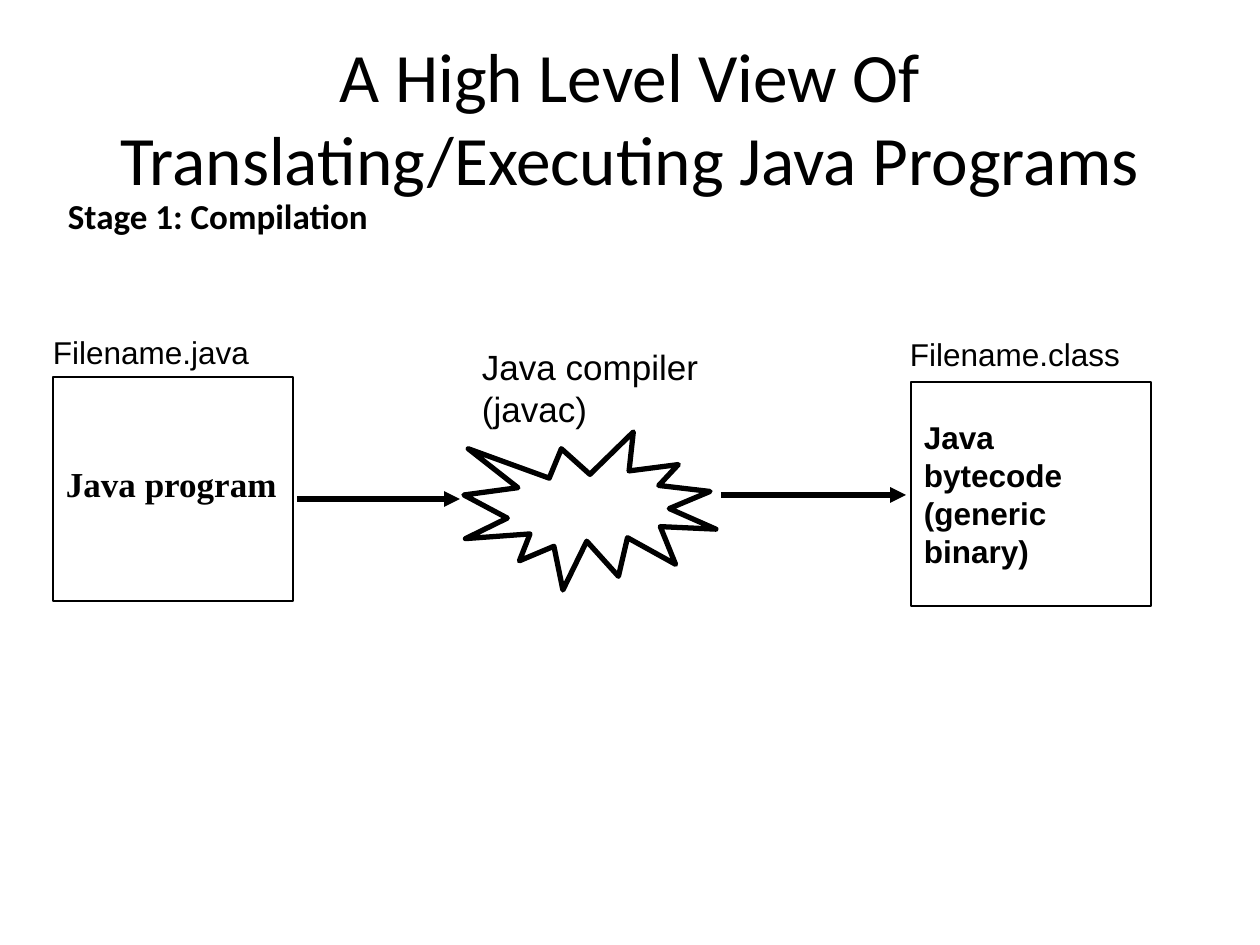
from lxml import etree
from pptx import Presentation
from pptx.dml.color import RGBColor
from pptx.enum.shapes import MSO_CONNECTOR, MSO_SHAPE
from pptx.enum.text import MSO_ANCHOR, PP_ALIGN
from pptx.oxml.ns import qn
from pptx.util import Emu, Pt

PX = 914400 // 126
BLACK = "000000"
STRAIGHT = MSO_CONNECTOR.STRAIGHT
RECTANGLE, BURST = MSO_SHAPE.RECTANGLE, MSO_SHAPE.EXPLOSION1
TOP, MIDDLE = MSO_ANCHOR.TOP, MSO_ANCHOR.MIDDLE
LEFT, CENTER = PP_ALIGN.LEFT, PP_ALIGN.CENTER

# Content: positions are (left, top, width, height) in px
TITLE = "A High Level View Of Translating/Executing Java Programs"
TITLE_AREA = (63, 38, 1134, 157)
LABELS = [
    ("Stage 1: Compilation", (55, 188, 378, 54),
     dict(size=20, font="Calibri", bold=True)),
    ("Java compiler (javac)", (469, 339, 278, 97), dict(size=20)),
    ("Filename.java", (53, 327, 271, 50), dict(inset=0)),
    ("Filename.class", (910, 329, 271, 50), dict(inset=0)),
]
FILE_BOXES = [
    ("Java program", (53, 377, 240, 224),
     dict(size=20, font="Times New Roman", bold=True, spacing=0.7)),
    ("Java bytecode (generic binary)", (911, 382, 240, 224), dict(bold=True)),
]
COMPILER_BURST = (464, 432, 252, 158)
ARROWS = [(297, 460, 499), (721, 906, 495)]  # from x, to x, y


def px(*lengths):
    return [Emu(length * PX) for length in lengths]


def color(hex_string):
    return RGBColor.from_string(hex_string)


def write(shape, text, size=18, font="Arial", bold=False, align=LEFT,
          anchor=TOP, inset=13, spacing=None):
    frame = shape.text_frame
    frame.word_wrap = True
    frame.vertical_anchor = anchor
    frame.margin_left, frame.margin_right = px(inset, 13)
    frame.margin_top, frame.margin_bottom = px(6, 6)
    paragraph = frame.paragraphs[0]
    paragraph.alignment = align
    if spacing:
        paragraph.line_spacing = spacing
    run = paragraph.add_run()
    run.text = text
    run.font.size = Pt(size)
    run.font.name = font
    run.font.bold = bold
    run.font.color.rgb = color(BLACK)


def add_outline(slide, kind, area, width):
    shape = slide.shapes.add_shape(kind, *px(*area))
    shape.shadow.inherit = False
    shape.fill.background()
    shape.line.color.rgb = color(BLACK)
    shape.line.width = Pt(width)
    return shape


def add_arrow(slide, start, end, y):
    arrow = slide.shapes.add_connector(STRAIGHT, *px(start, y, end, y))
    arrow.line.color.rgb = color(BLACK)
    arrow.line.width = Pt(3)
    properties = arrow.line._get_or_add_ln()
    etree.SubElement(properties, qn("a:tailEnd"), type="triangle")
    etree.SubElement(properties.getparent(), qn("a:effectLst"))


def main():
    presentation = Presentation()
    presentation.slide_width, presentation.slide_height = px(1260, 945)
    slide = presentation.slides.add_slide(presentation.slide_layouts[5])

    # Title
    title = slide.shapes.title
    title.left, title.top, title.width, title.height = px(*TITLE_AREA)
    write(title, TITLE, size=39.6, font="Calibri", align=CENTER, anchor=MIDDLE)

    # Compiler, files and the arrows between them
    add_outline(slide, BURST, COMPILER_BURST, 3)
    for text, area, style in FILE_BOXES:
        write(add_outline(slide, RECTANGLE, area, 0.75), text,
              anchor=MIDDLE, **style)
    for arrow in ARROWS:
        add_arrow(slide, *arrow)

    # Labels
    for text, area, style in LABELS:
        write(slide.shapes.add_textbox(*px(*area)), text, **style)

    presentation.save("out.pptx")


if __name__ == "__main__":
    main()
